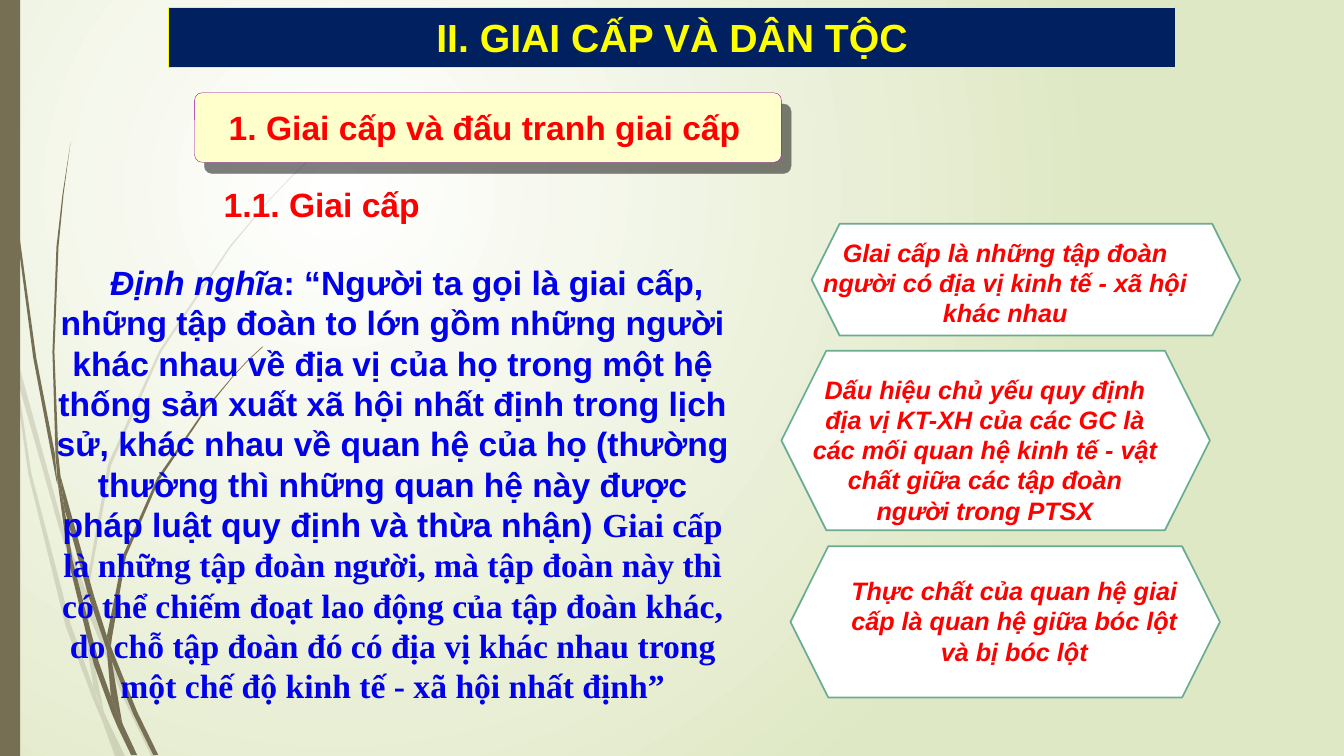
import pptx
import pptx.util
import pptx.dml.color
import pptx.enum.shapes
import pptx.enum.text
import pptx.oxml
from pptx.oxml.ns import qn

Inches, Pt = pptx.util.Inches, pptx.util.Pt
RGBColor = pptx.dml.color.RGBColor
MSO_SHAPE = pptx.enum.shapes.MSO_SHAPE
ALIGN = pptx.enum.text.PP_ALIGN
ANCHOR = pptx.enum.text.MSO_ANCHOR

WHITE = RGBColor(0xFF, 0xFF, 0xFF)
PALE_GREEN = RGBColor(0xDF, 0xE8, 0xC4)
BROWN = RGBColor(0x76, 0x6F, 0x54)
NAVY = RGBColor(0x00, 0x20, 0x60)
YELLOW = RGBColor(0xFF, 0xFF, 0x00)
CREAM = RGBColor(0xFF, 0xFF, 0xCC)
PURPLE = RGBColor(0x99, 0x00, 0x99)
RED = RGBColor(0xFF, 0x00, 0x00)
BLUE = RGBColor(0x00, 0x00, 0xEA)
GREEN = RGBColor(0x6A, 0xAC, 0x91)

# Content: text runs are (text, format)
HEADING = {"name": "Arial", "size": Pt(24), "bold": True, "color": RED}
BODY = {**HEADING, "color": BLUE}
NOTE = {**HEADING, "size": Pt(18), "italic": True}
TITLE = [("II. GIAI CẤP VÀ DÂN TỘC", {**HEADING, "size": Pt(28), "color": YELLOW})]
SECTION = [("1. Giai cấp và đấu tranh giai cấp", HEADING)]
SUBSECTION = [("1.1. Giai cấp", HEADING)]
DEFINITION = [
    ("Định nghĩa", {**BODY, "italic": True}),
    (": “Người ta gọi là giai cấp, những tập đoàn to lớn gồm những người khác nhau "
     "về địa vị của họ trong một hệ thống sản xuất xã hội nhất định trong lịch sử, "
     "khác nhau về quan hệ của họ (thường thường thì những quan hệ này được pháp luật "
     "quy định và thừa nhận) ", BODY),
    ("Giai cấp là những tập đoàn người, mà tập đoàn này thì có thể chiếm đoạt lao động "
     "của tập đoàn khác, do chỗ tập đoàn đó có địa vị khác nhau trong một chế độ kinh tế "
     "- xã hội nhất định”", {**BODY, "name": "Times New Roman"}),
]
# (hexagon box, text box, text), boxes as left, top, width, height in inches
NOTES = [
    ((8.05, 2.22, 4.25, 1.11), (7.93, 2.3, 4.08, 1.01),
     "Glai cấp là những tập đoàn người có địa vị kinh tế - xã hội khác nhau"),
    ((7.75, 3.48, 4.25, 1.78), (7.95, 3.66, 3.64, 1.62),
     "Dấu hiệu chủ yếu quy định địa vị KT-XH của các GC là các mối quan hệ kinh tế - "
     "vật chất giữa các tập đoàn người trong PTSX"),
    ((7.84, 5.42, 4.26, 1.5), (8.24, 5.66, 3.64, 1.01),
     "Thực chất của quan hệ giai cấp là quan hệ giữa bóc lột và bị bóc lột"),
]

# Grass blades, outlines in hundredths of an inch
PALE_BLADES = [
    [(0, 282), (0, 299), (10, 344), (11, 350), (28, 470), (65, 621), (92, 693), (101, 714),
     (114, 750), (119, 750), (105, 711), (96, 692), (93, 683), (70, 619), (31, 469),
     (17, 376), (11, 350), (9, 322)],
    [(14, 345), (17, 376), (58, 522), (84, 599), (85, 586), (62, 520)],
    [(84, 599), (87, 646), (93, 683), (105, 711), (119, 750), (124, 750), (105, 711),
     (103, 706), (91, 646), (88, 610), (88, 608)],
    [(85, 586), (84, 599), (88, 610), (123, 694), (150, 750), (155, 750), (127, 692),
     (92, 607), (88, 596)],
    [(88, 584), (110, 462), (160, 349), (229, 245), (268, 198), (290, 175), (312, 154),
     (312, 153), (289, 175), (268, 197), (228, 244), (158, 348), (107, 461), (85, 584),
     (85, 586), (88, 596)],
]
DARK_BLADES = [
    [(3, 0), (4, 48), (7, 110), (17, 233), (33, 355), (56, 477), (57, 481), (55, 457),
     (55, 453), (36, 355), (19, 232), (8, 109), (5, 48), (4, 0)],
    [(60, 472), (64, 505), (88, 592), (106, 645), (106, 633), (106, 631), (93, 590)],
    [(57, 477), (68, 557), (93, 659), (111, 708), (117, 722), (130, 749), (136, 749),
     (122, 719), (116, 706), (110, 691), (98, 657), (72, 556), (64, 505)],
    [(70, 141), (62, 193), (56, 245), (52, 349), (55, 449), (57, 477), (64, 505),
     (60, 472), (58, 453), (54, 349), (58, 245), (63, 193)],
    [(106, 631), (106, 645), (109, 651), (111, 656), (132, 708), (152, 749), (157, 749),
     (136, 706), (113, 649), (110, 641)],
    [(106, 645), (110, 691), (116, 706), (122, 719), (121, 716), (111, 656), (109, 651)],
    [(111, 633), (125, 552), (158, 476), (205, 406), (231, 374), (245, 359), (261, 344),
     (260, 344), (245, 358), (231, 373), (204, 405), (156, 474), (122, 551), (106, 631),
     (110, 641)],
]

prs = pptx.Presentation()
prs.slide_width, prs.slide_height = Inches(13.33), Inches(7.5)
s = prs.slides.add_slide(prs.slide_layouts[6])


def xml(text):
    ns = 'xmlns:a="http://schemas.openxmlformats.org/drawingml/2006/main"'
    return pptx.oxml.parse_xml(text.replace(">", f" {ns}>", 1))


def paint(sp, fill, line=None, width=0):
    sp.shadow.inherit = False
    sp.fill.solid()
    sp.fill.fore_color.rgb = fill
    if line is None:
        sp.line.fill.background()
    else:
        sp.line.color.rgb = line
        sp.line.width = Pt(width)
    return sp


def add_box(kind, box, *look):
    return paint(s.shapes.add_shape(kind, *map(Inches, box)), *look)


def add_blade(points, alpha):
    fb = s.shapes.build_freeform(*points[0], scale=9144)
    fb.add_line_segments(points[1:], close=True)
    sp = paint(fb.convert_to_shape(), BROWN)
    color = sp._element.spPr.find(qn("a:solidFill"))[0]
    color.append(xml(f'<a:alpha val="{alpha * 1000}"></a:alpha>'))


def write(sp, runs, align):
    tf = sp.text_frame
    tf.word_wrap = True
    p = tf.paragraphs[0]
    p.alignment = align
    for text, fmt in runs:
        r = p.add_run()
        r.text = text
        for key, value in fmt.items():
            if key == "color":
                r.font.color.rgb = value
            else:
                setattr(r.font, key, value)
    return p


def add_text(box, runs, align=ALIGN.LEFT):
    return write(s.shapes.add_textbox(*map(Inches, box)), runs, align)


# Background: radial gradient centred in the upper left
bg = s.background.fill
bg.gradient()
for stop, color in zip(bg.gradient_stops, (WHITE, PALE_GREEN)):
    stop.color.rgb = color
grad = s._element.find(".//" + qn("a:gradFill"))
grad.replace(grad.find(qn("a:lin")), xml(
    '<a:path path="circle"><a:fillToRect l="50000" t="50000" r="100000" b="100000"/></a:path>'))

# Grass and side bar
for blades, alpha in ((PALE_BLADES, 20), (DARK_BLADES, 100)):
    for points in blades:
        add_blade(points, alpha)
add_box(MSO_SHAPE.RECTANGLE, (0, 0, 0.2, 7.5), BROWN)

# Title bar
bar = add_box(MSO_SHAPE.RECTANGLE, (1.67, 0.07, 9.99, 0.6), NAVY, YELLOW, 0.25)
bar.text_frame.vertical_anchor = ANCHOR.MIDDLE
write(bar, TITLE, ALIGN.CENTER)

# Section heading on its shadowed card
card = add_box(MSO_SHAPE.ROUNDED_RECTANGLE, (1.93, 0.92, 5.82, 0.69), CREAM, PURPLE, 0.25)
card.adjustments[0] = 0.11
card._element.spPr.find(qn("a:effectLst")).append(xml(
    f'<a:outerShdw blurRad="0" dist="{Pt(10.6)}" dir="{49 * 60000}" rotWithShape="0">'
    '<a:srgbClr val="000000"><a:alpha val="50000"/></a:srgbClr></a:outerShdw>'))
add_text((2.17, 1.01, 5.58, 0.5), SECTION)

# Definition, first line indented
p = add_text((0.46, 2.55, 6.87, 4.54), DEFINITION, ALIGN.CENTER)
p._p.get_or_add_pPr().set("indent", str(Inches(0.28)))

# Hexagon notes
for hexagon, box, text in NOTES:
    add_box(MSO_SHAPE.HEXAGON, hexagon, WHITE, GREEN, 1.25)
    add_text(box, [(text, NOTE)], ALIGN.CENTER)

add_text((2.12, 1.78, 2.52, 0.51), SUBSECTION)

prs.save("out.pptx")
